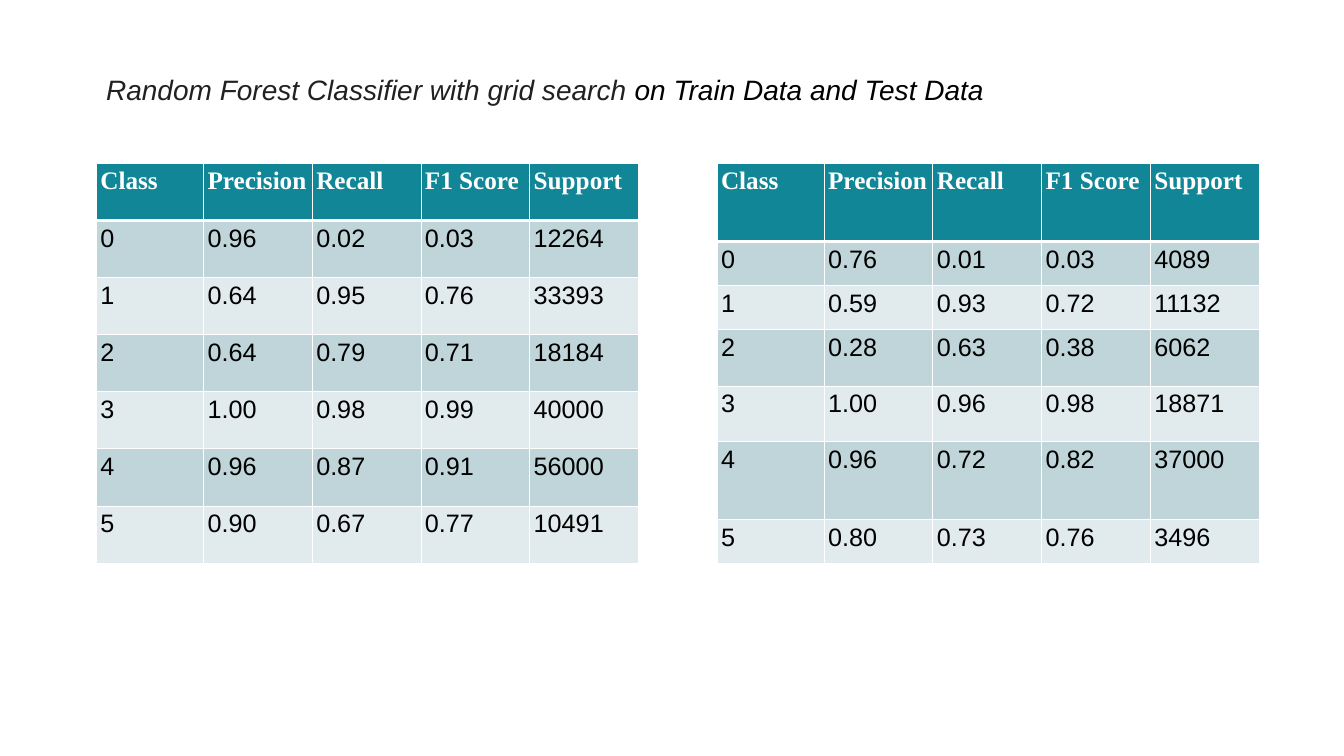
from lxml import etree
from pptx import Presentation
from pptx.dml.color import RGBColor
from pptx.enum.text import MSO_ANCHOR, PP_ALIGN
from pptx.oxml.ns import qn
from pptx.util import Cm, Pt

LEFT = PP_ALIGN.LEFT
MIDDLE = MSO_ANCHOR.MIDDLE
TITLE_ONLY = 5

COLORS = {
    "header": "118696",
    "odd": "BFD5D9",
    "even": "E1EAED",
    "white": "FFFFFF",
    "black": "000000",
    "charcoal": "212121",
}
TITLE_FONT = {"name": "Arial", "size": Pt(20), "italic": True, "bold": False}
HEADER_FONT = {"name": "Times New Roman", "size": Pt(18), "bold": True}
BODY_FONT = {"name": "Arial", "size": Pt(18), "bold": False}
CELL_MARGINS = {
    side: Cm(0.1)
    for side in ("margin_left", "margin_top", "margin_right", "margin_bottom")
}

METRICS = ["Class", "Precision", "Recall", "F1 Score", "Support"]
TRAIN_SCORES = [
    ["0", "0.96", "0.02", "0.03", "12264"],
    ["1", "0.64", "0.95", "0.76", "33393"],
    ["2", "0.64", "0.79", "0.71", "18184"],
    ["3", "1.00", "0.98", "0.99", "40000"],
    ["4", "0.96", "0.87", "0.91", "56000"],
    ["5", "0.90", "0.67", "0.77", "10491"],
]
TEST_SCORES = [
    ["0", "0.76", "0.01", "0.03", "4089"],
    ["1", "0.59", "0.93", "0.72", "11132"],
    ["2", "0.28", "0.63", "0.38", "6062"],
    ["3", "1.00", "0.96", "0.98", "18871"],
    ["4", "0.96", "0.72", "0.82", "37000"],
    ["5", "0.80", "0.73", "0.76", "3496"],
]
TRAIN_HEIGHTS = [1.44] * 7
TEST_HEIGHTS = [1.97, 1.11, 1.11, 1.43, 1.39, 1.97, 1.11]
COLUMN_WIDTHS = [2.7] + [2.74] * 4


def rgb(color):
    return RGBColor.from_string(COLORS[color])


def apply(target, values):
    for attribute, value in values.items():
        setattr(target, attribute, value)


def add_run(paragraph, text, font, color):
    run = paragraph.add_run()
    run.text = text
    apply(run.font, font)
    run.font.color.rgb = rgb(color)


def set_borders(cell, top, bottom):
    properties = cell._tc.get_or_add_tcPr()
    widths = {"lnL": 0.75, "lnR": 0.75, "lnT": top, "lnB": bottom}
    for position, (edge, width) in enumerate(widths.items()):
        line = etree.Element(qn(f"a:{edge}"), w=str(Pt(width)))
        fill = etree.SubElement(line, qn("a:solidFill"))
        etree.SubElement(fill, qn("a:srgbClr"), val=COLORS["white"])
        properties.insert(position, line)


def format_cell(cell, text, row):
    header = row == 0
    apply(cell, CELL_MARGINS)
    cell.fill.solid()
    cell.fill.fore_color.rgb = rgb("header" if header else "odd" if row % 2 else "even")
    set_borders(cell, 2.25 if row == 1 else 0.75, 2.25 if header else 0.75)
    add_run(
        cell.text_frame.paragraphs[0],
        text,
        HEADER_FONT if header else BODY_FONT,
        "white" if header else "black",
    )


def add_scores(slide, left, scores, heights):
    rows = [METRICS] + scores
    table = slide.shapes.add_table(
        len(rows), len(METRICS), Cm(left), Cm(4.11),
        Cm(sum(COLUMN_WIDTHS)), Cm(sum(heights)),
    ).table
    for column, width in zip(table.columns, COLUMN_WIDTHS):
        column.width = Cm(width)
    for row, (values, height) in enumerate(zip(rows, heights)):
        table.rows[row].height = Cm(height)
        for column, text in enumerate(values):
            format_cell(table.cell(row, column), text, row)


def set_heading(slide):
    heading = slide.shapes.title
    apply(heading, {"left": Cm(2.42), "top": Cm(1.7), "width": Cm(28.24), "height": Cm(1.11)})
    apply(heading.text_frame, {"vertical_anchor": MIDDLE, "word_wrap": True})
    paragraph = heading.text_frame.paragraphs[0]
    paragraph.alignment = LEFT
    add_run(paragraph, "Random Forest Classifier with grid search ", TITLE_FONT, "charcoal")
    add_run(paragraph, "on Train Data and Test Data", TITLE_FONT, "black")


def main():
    deck = Presentation()
    apply(deck, {"slide_width": Cm(33.87), "slide_height": Cm(19.05)})
    slide = deck.slides.add_slide(deck.slide_layouts[TITLE_ONLY])
    set_heading(slide)
    add_scores(slide, 2.43, TRAIN_SCORES, TRAIN_HEIGHTS)
    add_scores(slide, 18.07, TEST_SCORES, TEST_HEIGHTS)
    deck.save("out.pptx")


if __name__ == "__main__":
    main()
